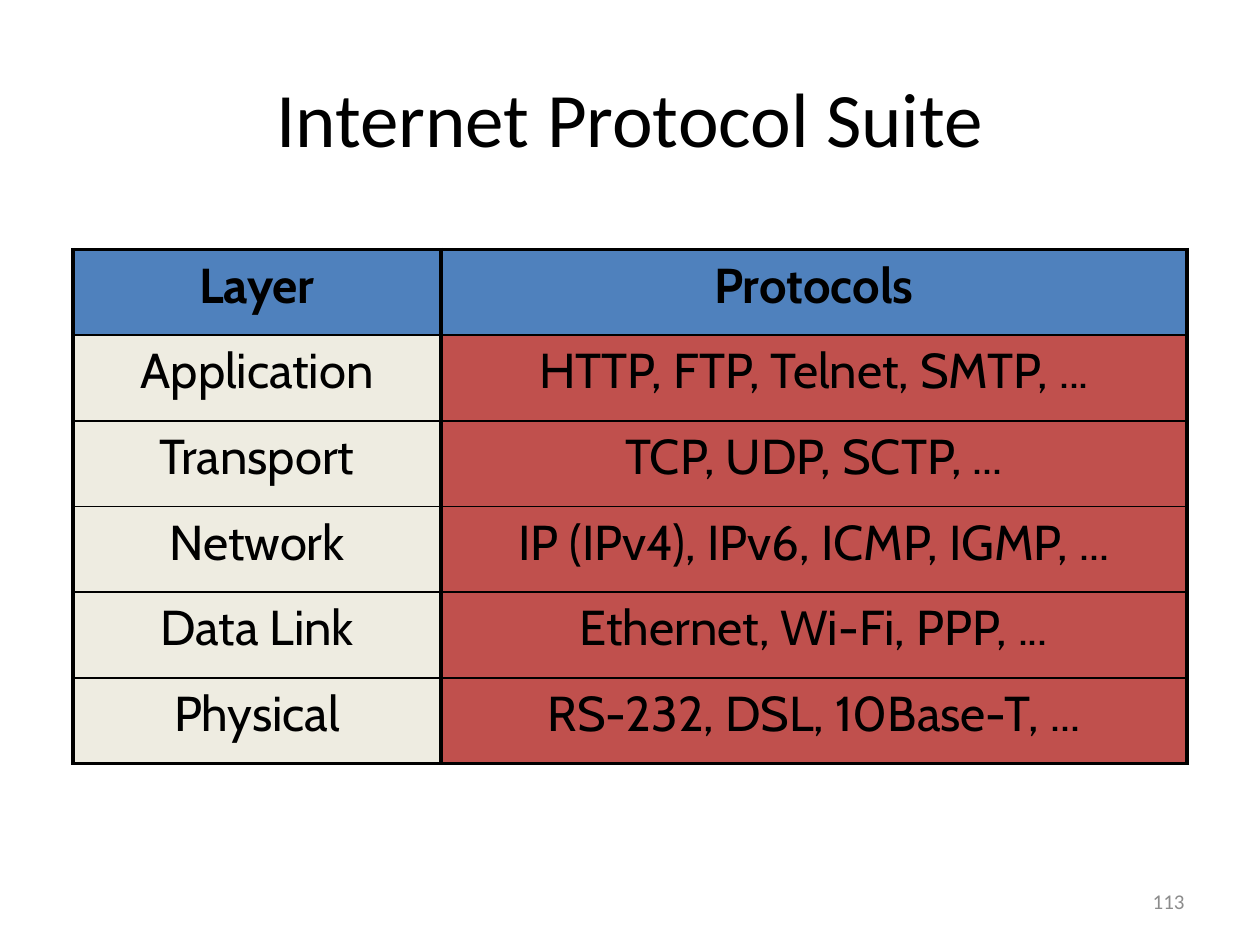
from lxml.etree import SubElement
from pptx import Presentation
from pptx.dml.color import RGBColor
from pptx.enum.text import MSO_ANCHOR as Anchor, PP_ALIGN as Align
from pptx.oxml.ns import qn
from pptx.util import Inches, Pt

BLACK = RGBColor(0x00, 0x00, 0x00)
GRAY = RGBColor(0x8C, 0x8C, 0x8C)
BLUE = RGBColor(0x4F, 0x81, 0xBD)
CREAM = RGBColor(0xEE, 0xEC, 0xE1)
RED = RGBColor(0xC0, 0x50, 0x4D)

TITLE = "Internet Protocol Suite"
PAGE_NUMBER = "113"
LAYERS = [
    ("Layer", "Protocols"),
    ("Application", "HTTP, FTP, Telnet, SMTP, ..."),
    ("Transport", "TCP, UDP, SCTP, ..."),
    ("Network", "IP (IPv4), IPv6, ICMP, IGMP, ..."),
    ("Data Link", "Ethernet, Wi-Fi, PPP, ..."),
    ("Physical", "RS-232, DSL, 10Base-T, ..."),
]
COLUMN_WIDTHS = (2.92, 5.92)
ROW_HEIGHT = 0.68
THICK, THIN = 2.25, 1

TITLE_FONT = {"name": "Calibri", "size": Pt(44), "bold": False}
NUMBER_FONT = {"name": "Calibri", "size": Pt(12), "bold": False}
HEADER_FONT = {"name": "Cabin", "size": Pt(28), "bold": True}
BODY_FONT = {**HEADER_FONT, "bold": False}


def write(frame, text, font_format, color, align, anchor=Anchor.MIDDLE):
    frame.word_wrap = True
    frame.vertical_anchor = anchor
    paragraph = frame.paragraphs[0]
    paragraph.alignment = align
    run = paragraph.add_run()
    run.text = text
    for attribute, value in font_format.items():
        setattr(run.font, attribute, value)
    run.font.color.rgb = color


def add_borders(cell, widths):
    properties = cell._tc.get_or_add_tcPr()
    for side, width in widths.items():
        line = SubElement(properties, qn(f"a:ln{side}"), w=str(Pt(width)))
        fill = SubElement(line, qn("a:solidFill"))
        SubElement(fill, qn("a:srgbClr"), val=str(BLACK))


def add_layer_table(slide):
    last = len(LAYERS) - 1
    table = slide.shapes.add_table(
        len(LAYERS), len(COLUMN_WIDTHS), Inches(0.58), Inches(1.98),
        Inches(sum(COLUMN_WIDTHS)), Inches(ROW_HEIGHT * len(LAYERS))).table
    for column, width in zip(table.columns, COLUMN_WIDTHS):
        column.width = Inches(width)
    for r, layer in enumerate(LAYERS):
        table.rows[r].height = Inches(ROW_HEIGHT)
        borders = {"L": THICK, "R": THICK,
                   "T": THICK if r == 0 else THIN,
                   "B": THICK if r == last else THIN}
        fills = (CREAM, RED) if r else (BLUE, BLUE)
        for c, (text, color) in enumerate(zip(layer, fills)):
            cell = table.cell(r, c)
            add_borders(cell, borders)
            cell.fill.solid()
            cell.fill.fore_color.rgb = color
            write(cell.text_frame, text, BODY_FONT if r else HEADER_FONT,
                  BLACK, Align.CENTER, Anchor.TOP)


def main():
    deck = Presentation()
    deck.slide_width, deck.slide_height = Inches(10), Inches(7.5)
    slide = deck.slides.add_slide(deck.slide_layouts[5])

    title = slide.shapes.title
    title.left, title.top = Inches(0.5), Inches(0.3)
    title.width, title.height = Inches(9), Inches(1.25)
    write(title.text_frame, TITLE, TITLE_FONT, BLACK, Align.CENTER)

    add_layer_table(slide)

    number = slide.shapes.add_textbox(
        Inches(7.17), Inches(6.95), Inches(2.33), Inches(0.4))
    write(number.text_frame, PAGE_NUMBER, NUMBER_FONT, GRAY, Align.RIGHT)

    deck.save("out.pptx")


if __name__ == "__main__":
    main()
